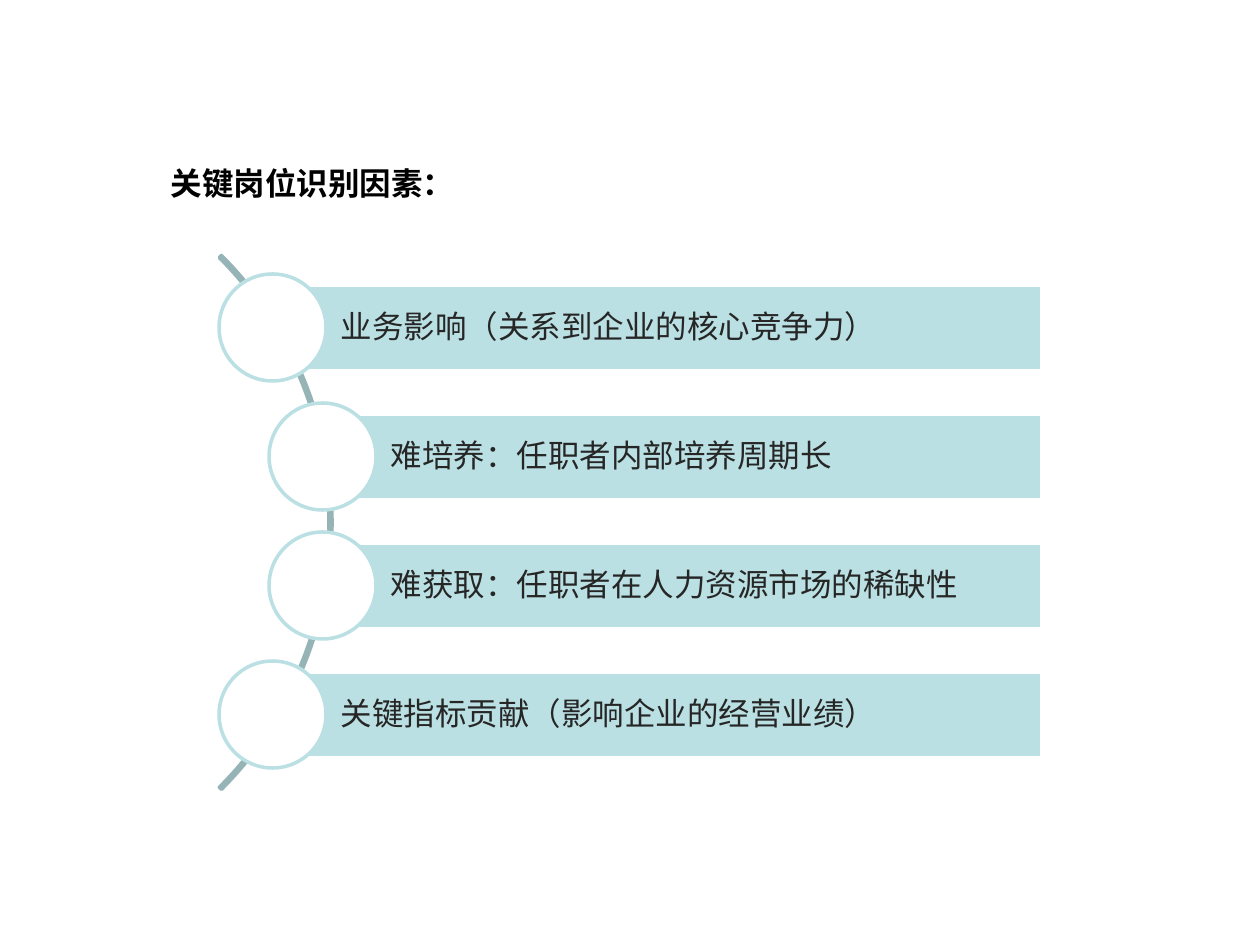
from dataclasses import dataclass

from lxml.etree import SubElement
from pptx import Presentation
from pptx.dml.color import RGBColor as RGB
from pptx.enum.shapes import MSO_SHAPE as Shape
from pptx.enum.text import MSO_ANCHOR as Anchor
from pptx.enum.text import MSO_AUTO_SIZE as AutoSize
from pptx.enum.text import PP_ALIGN as Align
from pptx.oxml.ns import qn
from pptx.shapes.autoshape import Shape as AutoShape
from pptx.shapes.shapetree import GroupShapes
from pptx.text.text import TextFrame
from pptx.util import Emu, Pt

PX_PER_INCH = 126


@dataclass(frozen=True)
class Theme:
    font: str = "Noto Sans CJK SC"
    size: Pt = Pt(18)
    outline: Pt = Pt(2)
    heading: RGB = RGB(0x00, 0x00, 0x00)
    body: RGB = RGB(0x26, 0x26, 0x26)
    accent: RGB = RGB(0xBB, 0xE0, 0xE3)
    arc: RGB = RGB(0x96, 0xB3, 0xB6)
    paper: RGB = RGB(0xFF, 0xFF, 0xFF)


@dataclass(frozen=True)
class Factor:
    text: str
    left: int


THEME = Theme()
OUTER, INNER = 273, 323
FACTORS = [
    Factor("业务影响（关系到企业的核心竞争力）", OUTER),
    Factor("难培养：任职者内部培养周期长", INNER),
    Factor("难获取：任职者在人力资源市场的稀缺性", INNER),
    Factor("关键指标贡献（影响企业的经营业绩）", OUTER),
]
BAR_RIGHT, BAR_HEIGHT, BAR_INDENT = 1042, 86, 68
FIRST_TOP, PITCH = 285, 129
DIAMETER = 107


def px(length: int) -> Emu:
    return Emu(round(length * 914400 / PX_PER_INCH))


def style_text(frame: TextFrame, color: RGB, bold: bool = False) -> None:
    for paragraph in frame.paragraphs:
        paragraph.alignment = Align.LEFT
        for run in paragraph.runs:
            run.font.name = THEME.font
            run.font.size = THEME.size
            run.font.bold = bold
            run.font.color.rgb = color
            SubElement(run.font._element, qn("a:ea"), typeface=THEME.font)


def add_outlined(shapes: GroupShapes, kind: Shape, left: int, top: int,
                 width: int, height: int, line: RGB,
                 fill: RGB | None = None) -> AutoShape:
    outlined = shapes.add_shape(kind, px(left), px(top), px(width), px(height))
    outlined.shadow.inherit = False
    if fill is None:
        outlined.fill.background()
    else:
        outlined.fill.solid()
        outlined.fill.fore_color.rgb = fill
    outlined.line.color.rgb = line
    outlined.line.width = THEME.outline
    return outlined


def add_factor(shapes: GroupShapes, factor: Factor, top: int) -> None:
    bar = add_outlined(shapes, Shape.RECTANGLE, factor.left, top,
                       BAR_RIGHT - factor.left, BAR_HEIGHT,
                       THEME.paper, THEME.accent)
    frame = bar.text_frame
    frame.word_wrap = True
    frame.vertical_anchor = Anchor.MIDDLE
    frame.margin_left = px(BAR_INDENT)
    frame.margin_right = frame.margin_top = frame.margin_bottom = px(6)
    frame.text = factor.text
    frame.paragraphs[0].line_spacing = 0.9
    style_text(frame, THEME.body)

    radius = (DIAMETER + 1) // 2
    add_outlined(shapes, Shape.OVAL, factor.left - radius,
                 top + BAR_HEIGHT // 2 - radius, DIAMETER, DIAMETER,
                 THEME.accent, THEME.paper)


def main() -> None:
    deck = Presentation()
    deck.slide_width, deck.slide_height = px(1260), px(945)
    slide = deck.slides.add_slide(deck.slide_layouts[5])

    heading = slide.shapes.title
    heading.left, heading.top = px(158), px(158)
    heading.width, heading.height = px(315), px(50)
    frame = heading.text_frame
    frame.text = "关键岗位识别因素："
    frame.word_wrap = True
    frame.auto_size = AutoSize.SHAPE_TO_FIT_TEXT
    frame.vertical_anchor = Anchor.TOP
    style_text(frame, THEME.heading, bold=True)

    diagram = slide.shapes.add_group_shape().shapes
    arc = add_outlined(diagram, Shape.BLOCK_ARC, -423, 145, 755, 755, THEME.arc)
    for index, adjustment in enumerate((189, 27, 0.004)):
        arc.adjustments[index] = adjustment
    for row, factor in enumerate(FACTORS):
        add_factor(diagram, factor, FIRST_TOP + row * PITCH)

    deck.save("out.pptx")


if __name__ == "__main__":
    main()
